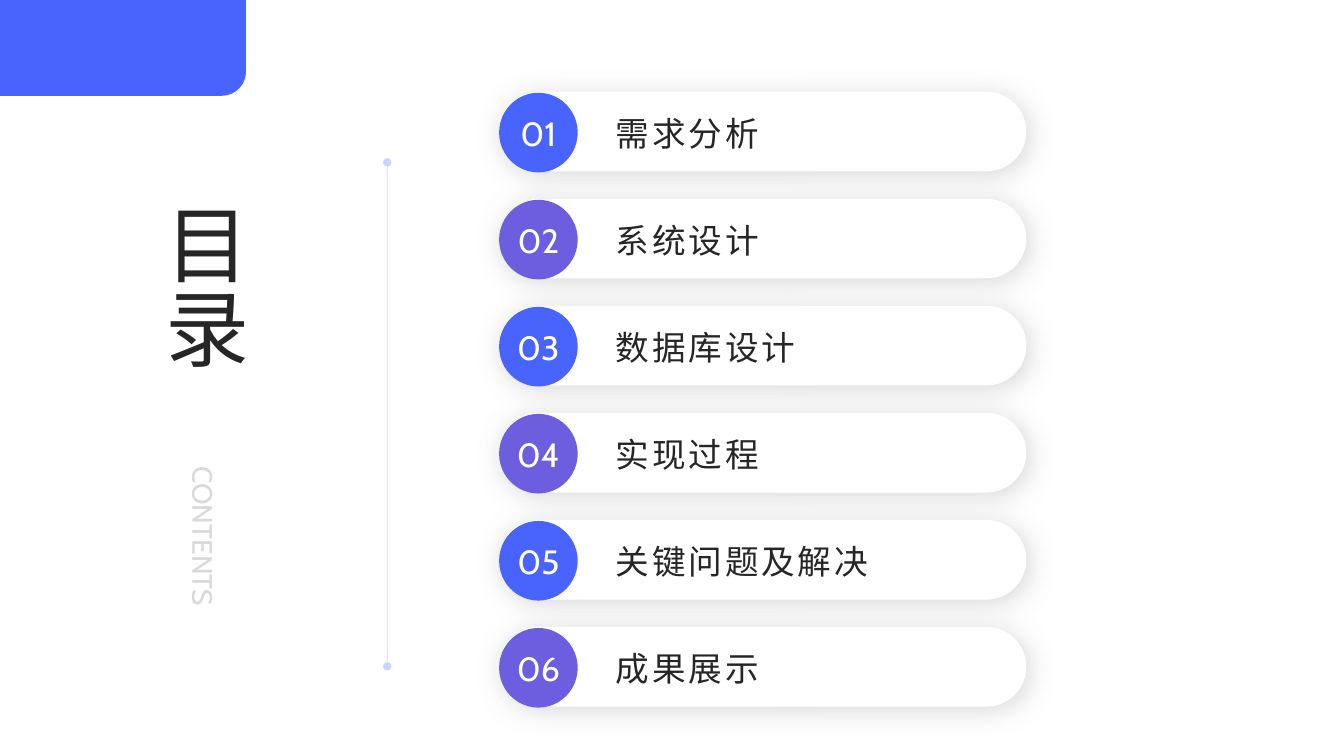
import math

from pptx import Presentation
from pptx.dml.color import RGBColor
from pptx.enum import shapes as s, text as t
from pptx.oxml import parse_xml
from pptx.oxml.ns import nsdecls, qn
from pptx.util import Inches, Pt

BLUE = RGBColor(0x48, 0x64, 0xFC)
PURPLE = RGBColor(0x6C, 0x5E, 0xDE)
LINE_BLUE = RGBColor(0x00, 0x2A, 0xF9)
WHITE = RGBColor(0xFF, 0xFF, 0xFF)
INK = RGBColor(0x26, 0x26, 0x26)
PALE_GREY = RGBColor(0xD9, 0xD9, 0xD9)

CHAPTERS = ["需求分析", "系统设计", "数据库设计", "实现过程", "关键问题及解决", "成果展示"]
FIRST_TOP, LAST_TOP = 0.91, 6.22
ROW_HEIGHT = 0.79


def inches(*lengths):
    return [Inches(length) for length in lengths]


def write(holder, words, size, color, align, inset=(0.1, 0.05)):
    frame = holder.text_frame
    frame.text = words
    frame.word_wrap = True
    frame.auto_size = t.MSO_AUTO_SIZE.NONE
    frame.vertical_anchor = t.MSO_ANCHOR.MIDDLE
    frame.margin_left = frame.margin_right = Inches(inset[0])
    frame.margin_top = frame.margin_bottom = Inches(inset[1])
    paragraph = frame.paragraphs[0]
    paragraph.alignment = align
    font = paragraph.runs[0].font
    font.name = "Cabin"
    font.size = Pt(size)
    font.color.rgb = color
    return paragraph


def set_vertical(holder):
    holder.text_frame._txBody.bodyPr.set("vert", "eaVert")


def add_filled(slide, kind, box, color):
    shape = slide.shapes.add_shape(kind, *inches(*box))
    finish(shape, color)
    return shape


def finish(shape, color):
    shape.shadow.inherit = False
    shape.fill.solid()
    shape.fill.fore_color.rgb = color
    shape.line.fill.background()


def add_soft_shadow(shape):
    effects = shape._element.spPr.find(qn("a:effectLst"))
    effects.append(parse_xml(
        f'<a:outerShdw {nsdecls("a")} blurRad="{Pt(20)}" dist="{Pt(3)}" '
        'dir="2700000" algn="tl" rotWithShape="0">'
        '<a:srgbClr val="808080"><a:alpha val="30000"/></a:srgbClr></a:outerShdw>'))


def add_divider(slide):
    divider = slide.shapes.add_connector(
        s.MSO_CONNECTOR.STRAIGHT, *inches(3.84, 1.61, 3.84, 6.61))
    divider.line.width = Pt(0.5)
    divider.line.color.rgb = LINE_BLUE
    properties = divider._element.spPr
    outline = divider.line._get_or_add_ln()
    color = outline.find(qn("a:solidFill")).find(qn("a:srgbClr"))
    color.append(parse_xml(f'<a:alpha {nsdecls("a")} val="20000"/>'))
    for end in ("headEnd", "tailEnd"):
        outline.append(parse_xml(f'<a:{end} {nsdecls("a")} type="oval"/>'))
    properties.append(parse_xml(f'<a:effectLst {nsdecls("a")}/>'))


def add_corner_block(slide):
    left, right, bottom, radius = -0.02, 2.44, 0.95, 0.24
    angles = [math.radians(degrees) for degrees in range(0, 91, 5)]
    curve = [(right - radius + radius * math.cos(angle),
              bottom - radius + radius * math.sin(angle)) for angle in angles]
    builder = slide.shapes.build_freeform(Inches(left), 0)
    outline = [(right, 0), *curve, (left, bottom)]
    builder.add_line_segments([inches(*point) for point in outline], close=True)
    finish(builder.convert_to_shape(), BLUE)


def add_headings(slide):
    title = slide.shapes.title
    title.left, title.top, title.width, title.height = inches(1.28, 1.96, 1.5, 2.32)
    write(title, "目录", 60, INK, t.PP_ALIGN.LEFT)
    set_vertical(title)
    subtitle = slide.shapes.add_textbox(*inches(1.27, 4.53, 1.5, 2.13))
    write(subtitle, "CONTENTS", 20, PALE_GREY, t.PP_ALIGN.JUSTIFY).space_after = Pt(10)
    set_vertical(subtitle)


def add_chapter(slide, number, name, top):
    bar = add_filled(slide, s.MSO_SHAPE.ROUNDED_RECTANGLE,
                     (4.95, top, 5.23, ROW_HEIGHT), WHITE)
    bar.adjustments[0] = 0.5
    add_soft_shadow(bar)
    badge = add_filled(slide, s.MSO_SHAPE.OVAL, (4.95, top + 0.01, 0.78, ROW_HEIGHT),
                       BLUE if number % 2 else PURPLE)
    write(badge, f"{number:02}", 24, WHITE, t.PP_ALIGN.CENTER, (0, 0))
    label = slide.shapes.add_textbox(*inches(6.01, top + 0.01, 4.07, ROW_HEIGHT))
    paragraph = write(label, name, 24, INK, t.PP_ALIGN.LEFT, (0.1, 0))
    paragraph.runs[0].font._element.set("spc", "200")


def main():
    deck = Presentation()
    deck.slide_width, deck.slide_height = inches(13.33, 7.5)
    slide = deck.slides.add_slide(deck.slide_layouts[5])
    add_divider(slide)
    add_corner_block(slide)
    add_headings(slide)
    pitch = (LAST_TOP - FIRST_TOP) / (len(CHAPTERS) - 1)
    for index, name in enumerate(CHAPTERS):
        add_chapter(slide, index + 1, name, FIRST_TOP + index * pitch)
    deck.save("out.pptx")


if __name__ == "__main__":
    main()
